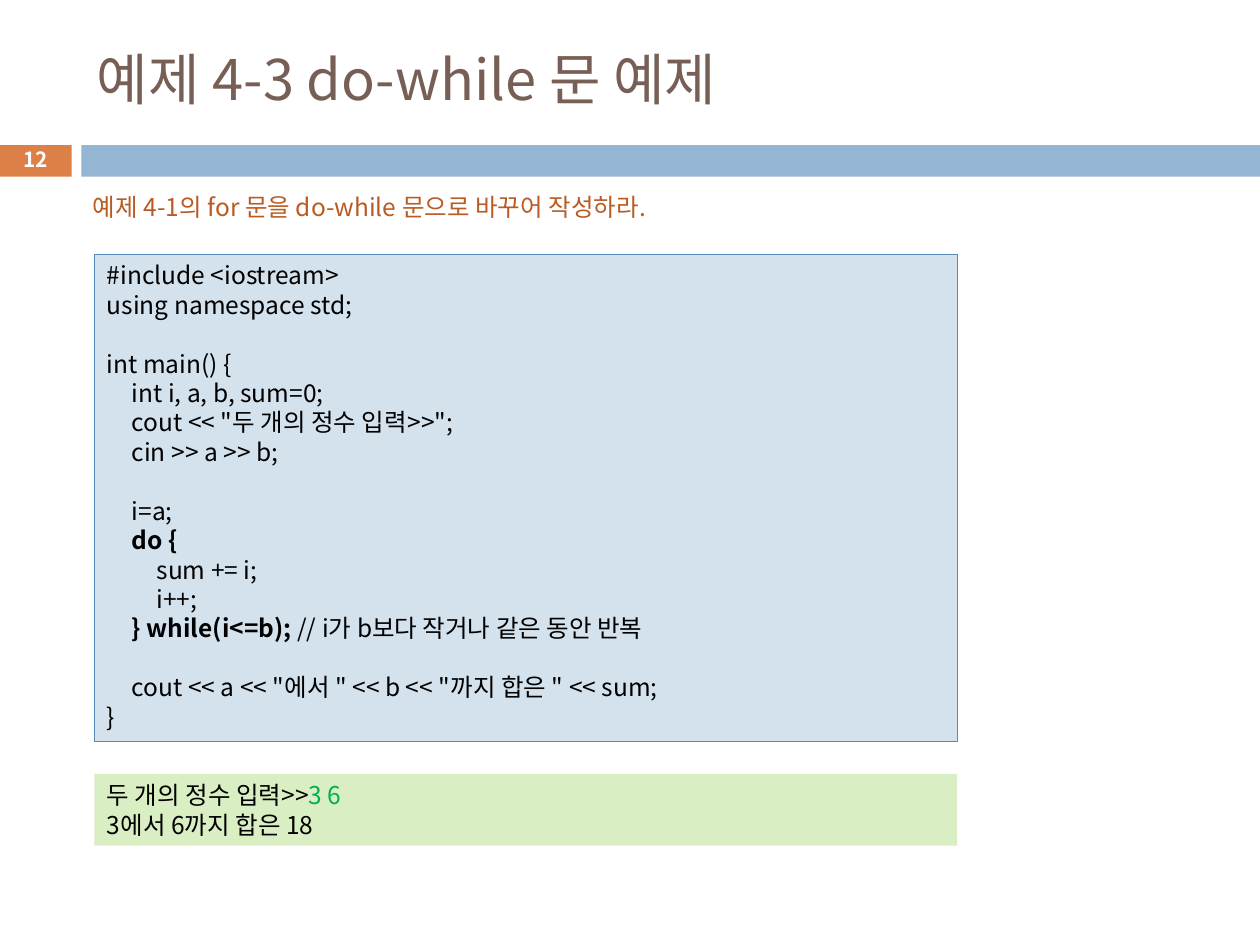
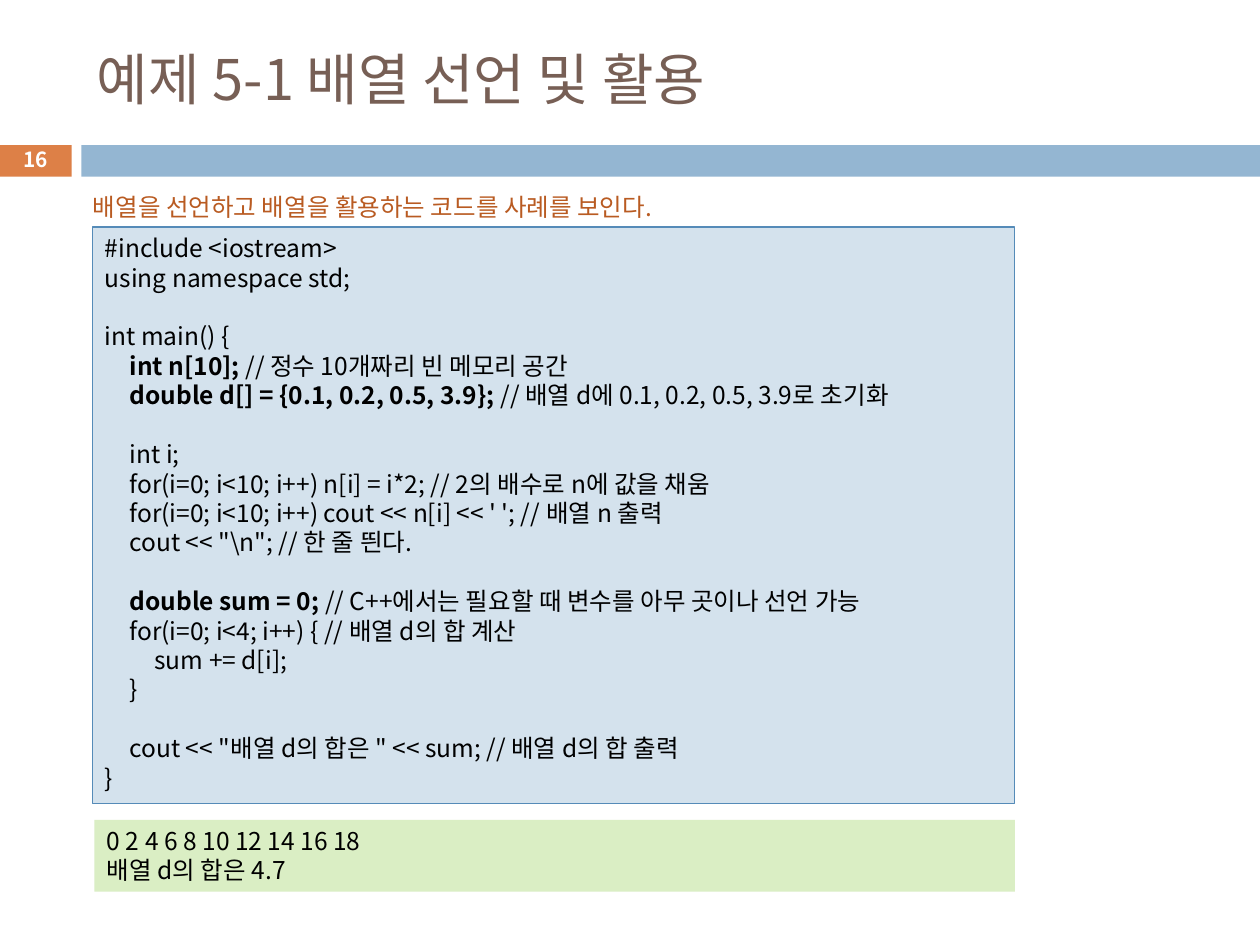
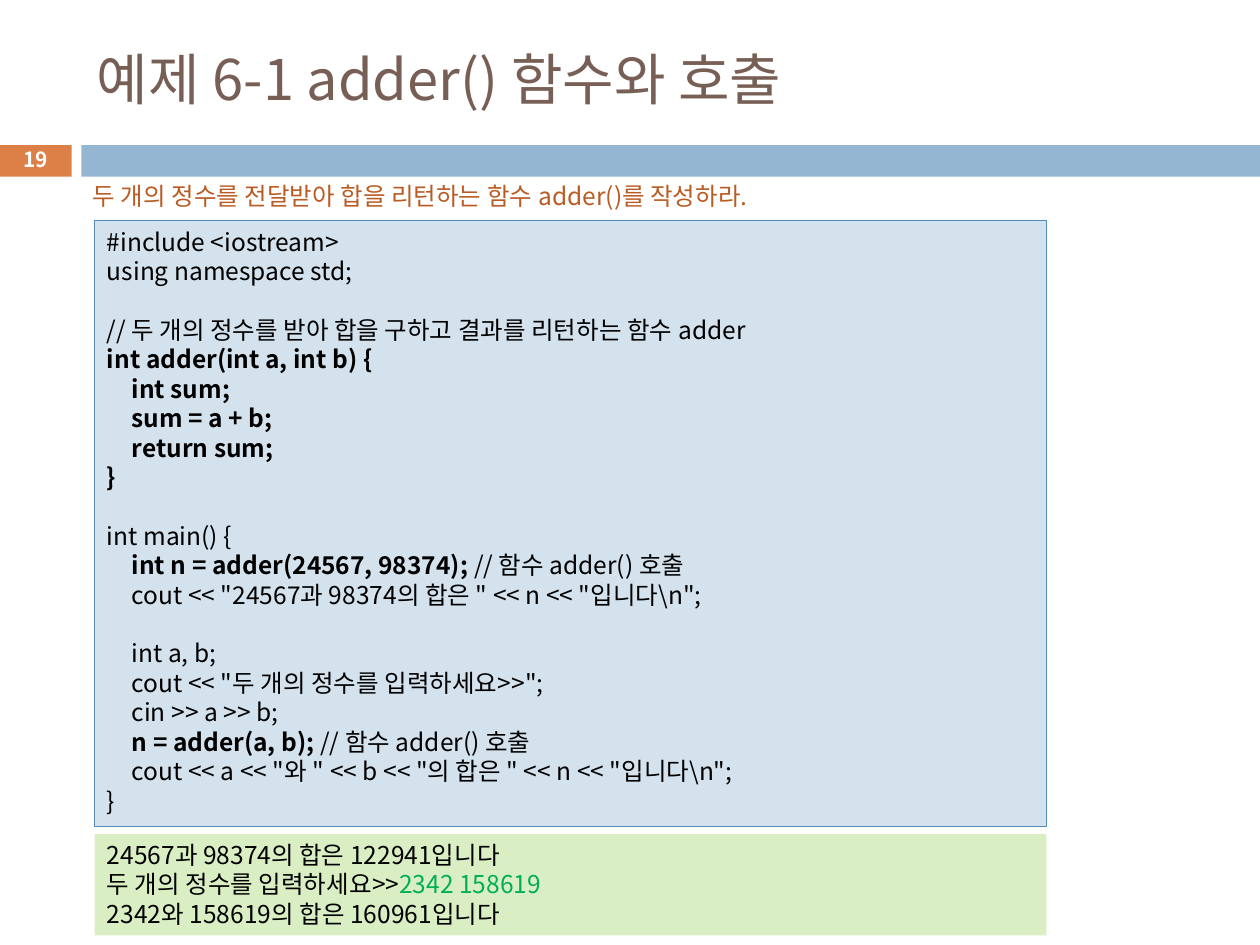
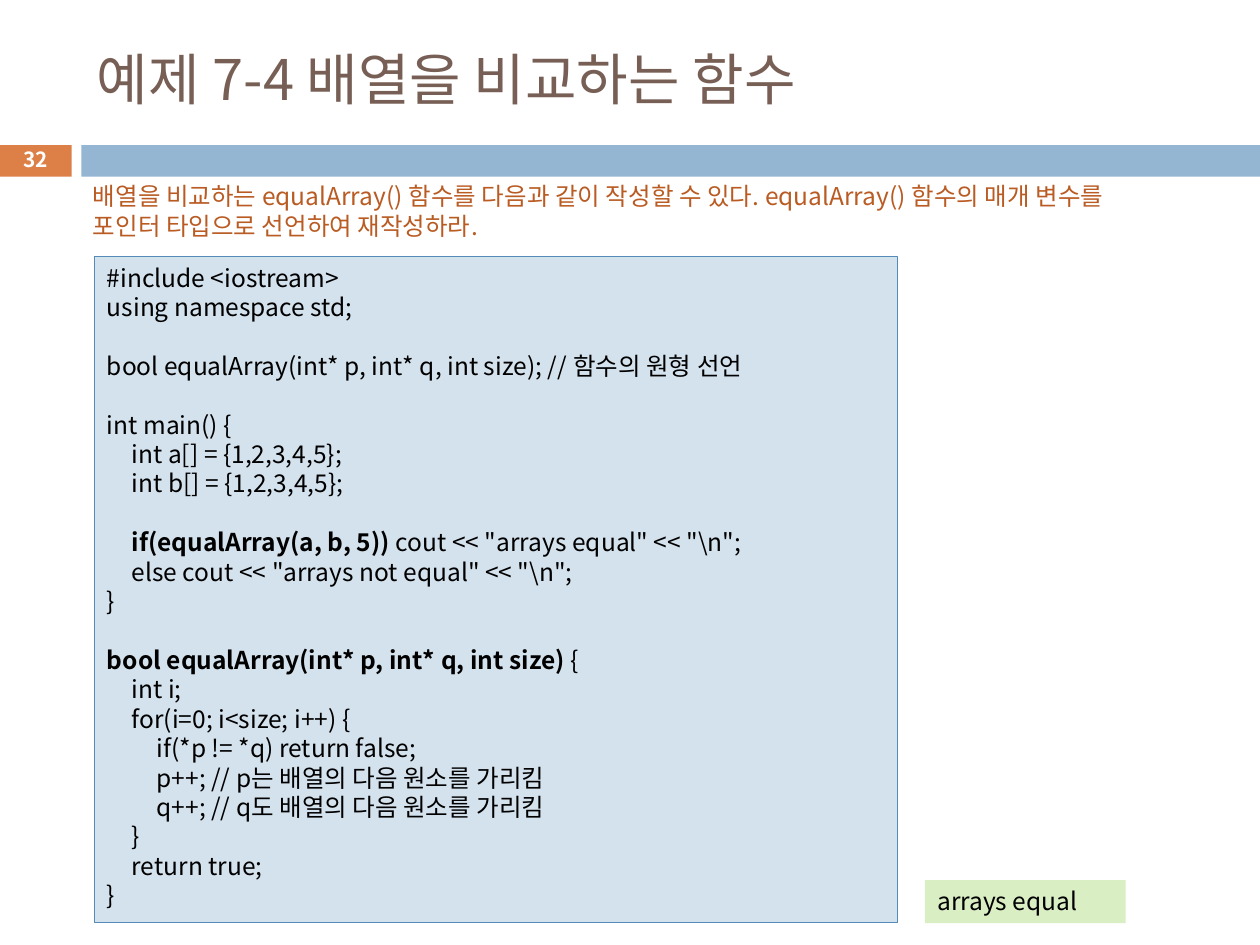
from dataclasses import dataclass
from typing import Optional

import pptx
import pptx.dml.color
import pptx.enum.shapes
import pptx.enum.text
import pptx.oxml.ns
import pptx.util
from lxml import etree

Pt = pptx.util.Pt
RGB = pptx.dml.color.RGBColor
Align = pptx.enum.text.PP_ALIGN
Anchor = pptx.enum.text.MSO_ANCHOR
qn = pptx.oxml.ns.qn

FONT = "Noto Sans CJK KR"
ORANGE = RGB(0xDD, 0x80, 0x47)
BLUE = RGB(0x94, 0xB6, 0xD2)
BROWN = RGB(0x77, 0x5F, 0x55)
RUST = RGB(0xB9, 0x5B, 0x22)
PALE = RGB(0xD4, 0xE2, 0xED)
EDGE = RGB(0x55, 0x8B, 0xB8)
LIME = RGB(0xDA, 0xEE, 0xC4)
GREEN = RGB(0x00, 0xB0, 0x50)
BLACK = RGB(0, 0, 0)
WHITE = RGB(0xFF, 0xFF, 0xFF)

LEAD = 16.8  # line pitch of body text
STEP = 14.2  # width of one code indent
MARK = "@"  # encloses the stressed parts of a line


@dataclass(frozen=True)
class Box:
    left: float
    top: float
    width: float
    height: float

    def span(self) -> list:
        return [Pt(n) for n in (self.left, self.top, self.width, self.height)]


@dataclass(frozen=True)
class Style:
    size: float
    color: RGB
    bold: bool = False
    align: Align = Align.LEFT
    anchor: Anchor = Anchor.TOP
    lead: Optional[float] = None
    stress: Optional[RGB] = None  # colour of marked parts; bold if None


@dataclass(frozen=True)
class Lesson:
    page: int
    title: str
    task: str
    code: str
    result: str
    task_box: Box
    code_box: Box
    result_box: Box


TITLE = Style(32, BROWN, anchor=Anchor.MIDDLE)
PAGE = Style(11.9, WHITE, True, Align.CENTER, Anchor.MIDDLE)
TASK = Style(14, RUST, lead=LEAD)
CODE = Style(14, BLACK, lead=LEAD)
RESULT = Style(14, BLACK, lead=LEAD, stress=GREEN)

TITLE_BOX = Box(48.25, 18, 642, 53)
PAGE_BOX = Box(-0.5, 81.5, 41.5, 19.5)
TAB_BOX = Box(-0.5, 83, 41.5, 18)
BAND_BOX = Box(46.5, 83, 673.5, 18)

LESSONS = [
    Lesson(
        12,
        "예제 4-3 do-while 문 예제",
        "예제 4-1의 for 문을 do-while 문으로 바꾸어 작성하라.",
        r"""#include <iostream>
using namespace std;

int main() {
    int i, a, b, sum=0;
    cout << "두 개의 정수 입력>>";
    cin >> a >> b;

    i=a;
    @do {@
        sum += i;
        i++;
    @} while(i<=b); @// i가 b보다 작거나 같은 동안 반복

    cout << a << "에서 " << b << "까지 합은 " << sum;
}""",
        "두 개의 정수 입력>>@3 6@\n3에서 6까지 합은 18",
        Box(46, 106, 541, 24.5),
        Box(54, 145.25, 493, 278.5),
        Box(54, 442.25, 493, 41),
    ),
    Lesson(
        16,
        "예제 5-1 배열 선언 및 활용",
        "배열을 선언하고 배열을 활용하는 코드를 사례를 보인다.",
        r"""#include <iostream>
using namespace std;

int main() {
    @int n[10];@ // 정수 10개짜리 빈 메모리 공간
    @double d[] = {0.1, 0.2, 0.5, 3.9}; @// 배열 d에 0.1, 0.2, 0.5, 3.9로 초기화

    int i;
    for(i=0; i<10; i++) n[i] = i*2; // 2의 배수로 n에 값을 채움
    for(i=0; i<10; i++) cout << n[i] << ' '; // 배열 n 출력
    cout << "\n"; // 한 줄 띈다.

    @double sum = 0; @// C++에서는 필요할 때 변수를 아무 곳이나 선언 가능
    for(i=0; i<4; i++) { // 배열 d의 합 계산
        sum += d[i];
    }

    cout << "배열 d의 합은 " << sum; // 배열 d의 합 출력
}""",
        "0 2 4 6 8 10 12 14 16 18\n배열 d의 합은 4.7",
        Box(46, 106, 541, 24.5),
        Box(52.75, 129.75, 527, 329.5),
        Box(54, 468.5, 526, 41),
    ),
    Lesson(
        19,
        "예제 6-1 adder() 함수와 호출",
        "두 개의 정수를 전달받아 합을 리턴하는 함수 adder()를 작성하라.",
        r"""#include <iostream>
using namespace std;

// 두 개의 정수를 받아 합을 구하고 결과를 리턴하는 함수 adder
@int adder(int a, int b) {@
    @int sum;@
    @sum = a + b;@
    @return sum;@
@}@

int main() {
    @int n = adder(24567, 98374); @// 함수 adder() 호출
    cout << "24567과 98374의 합은 " << n << "입니다\n";

    int a, b;
    cout << "두 개의 정수를 입력하세요>>";
    cin >> a >> b;
    @n = adder(a, b); @// 함수 adder() 호출
    cout << a << "와 " << b << "의 합은 " << n << "입니다\n";
}""",
        "24567과 98374의 합은 122941입니다\n"
        "두 개의 정수를 입력하세요>>@2342 158619@\n"
        "2342와 158619의 합은 160961입니다",
        Box(46, 100, 541, 24.5),
        Box(54, 126, 544, 346.5),
        Box(54, 476.5, 544, 58),
    ),
    Lesson(
        32,
        "예제 7-4 배열을 비교하는 함수",
        "배열을 비교하는 equalArray() 함수를 다음과 같이 작성할 수 있다. "
        "equalArray() 함수의 매개 변수를 포인터 타입으로 선언하여 재작성하라.",
        r"""#include <iostream>
using namespace std;

bool equalArray(int* p, int* q, int size); // 함수의 원형 선언

int main() {
    int a[] = {1,2,3,4,5};
    int b[] = {1,2,3,4,5};

    @if(equalArray(a, b, 5)) @cout << "arrays equal" << "\n";
    else cout << "arrays not equal" << "\n";
}

@bool equalArray(int* p, int* q, int size) @{
    int i;
    for(i=0; i<size; i++) {
        if(*p != *q) return false;
        p++; // p는 배열의 다음 원소를 가리킴
        q++; // q도 배열의 다음 원소를 가리킴
    }
    return true;
}""",
        "arrays equal",
        Box(46, 100, 597.5, 41),
        Box(54, 146.5, 459, 380.5),
        Box(528.5, 503, 114.75, 24.5),
    ),
]


def fill_line(para, line: str, style: Style) -> None:
    """Write one line; leading blanks become an indent, marked parts are stressed."""
    text = line.lstrip()
    props = para._p.get_or_add_pPr()
    props.set("marL", str(Pt((len(line) - len(text)) // 4 * STEP)))
    props.set("indent", "0")
    para.alignment = style.align
    if style.lead:
        para.line_spacing = Pt(style.lead)
    parts = [(part, i % 2 == 1) for i, part in enumerate(text.split(MARK)) if part]
    whole = all(marked for _, marked in parts)
    font = para.font
    font.size = Pt(style.size)
    font.bold = style.bold or whole
    font.color.rgb = style.color
    font.name = FONT
    etree.SubElement(props.find(qn("a:defRPr")), qn("a:ea"), typeface=FONT)
    for part, marked in parts:
        run = para.add_run()
        run.text = part
        if marked and style.stress:
            run.font.color.rgb = style.stress
        elif marked and not whole:
            run.font.bold = True


def fill_text(shape, text: str, style: Style) -> None:
    """Write the lines of a text; an empty line becomes space before the next."""
    frame = shape.text_frame
    frame.word_wrap = True
    frame.vertical_anchor = style.anchor
    para, gap = frame.paragraphs[0], 0.0
    for i, line in enumerate(text.split("\n")):
        if not line:
            gap += LEAD
            continue
        if i:
            para = frame.add_paragraph()
        fill_line(para, line, style)
        if gap:
            para.space_before = Pt(gap)
            gap = 0.0


def add_text(slide, box: Box, text: str, style: Style) -> None:
    fill_text(slide.shapes.add_textbox(*box.span()), text, style)


def add_block(slide, box: Box, fill: RGB, edge: Optional[RGB] = None):
    kind = pptx.enum.shapes.MSO_SHAPE.RECTANGLE
    shape = slide.shapes.add_shape(kind, *box.span())
    shape.shadow.inherit = False
    shape.fill.solid()
    shape.fill.fore_color.rgb = fill
    if edge:
        shape.line.color.rgb = edge
        shape.line.width = Pt(0.75)
    else:
        shape.line.fill.background()
    return shape


def add_frame(slide, title: str, page: int) -> None:
    """Draw what all slides share: tab, band, title and page number."""
    add_block(slide, TAB_BOX, ORANGE)
    add_block(slide, BAND_BOX, BLUE)
    add_text(slide, TITLE_BOX, title, TITLE)
    add_text(slide, PAGE_BOX, str(page), PAGE)


def add_lesson(deck, lesson: Lesson) -> None:
    slide = deck.slides.add_slide(deck.slide_layouts[6])
    add_frame(slide, lesson.title, lesson.page)
    add_text(slide, lesson.task_box, lesson.task, TASK)
    fill_text(add_block(slide, lesson.code_box, PALE, EDGE), lesson.code, CODE)
    fill_text(add_block(slide, lesson.result_box, LIME), lesson.result, RESULT)


def main() -> None:
    deck = pptx.Presentation()
    deck.slide_width = Pt(720)
    deck.slide_height = Pt(540)
    for lesson in LESSONS:
        add_lesson(deck, lesson)
    deck.save("out.pptx")


if __name__ == "__main__":
    main()
